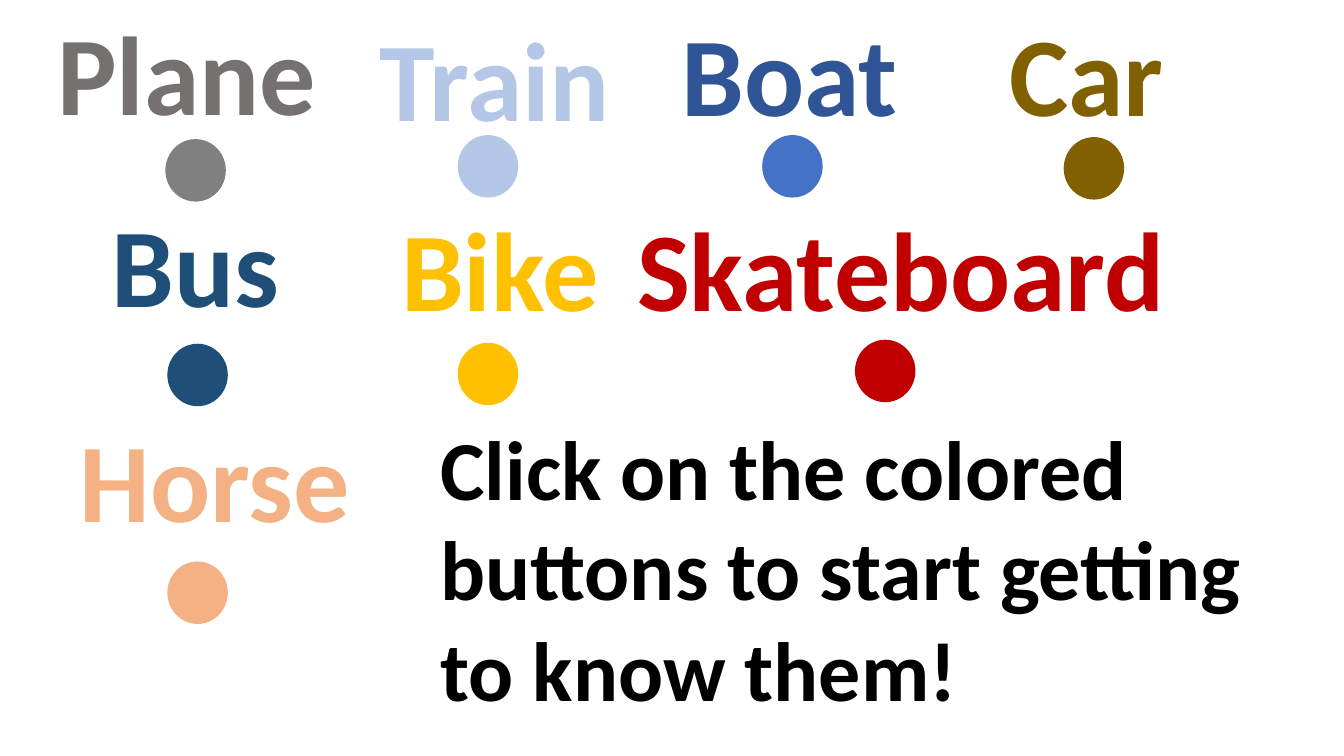
from pptx import Presentation
from pptx.dml.color import RGBColor
from pptx.enum.shapes import MSO_SHAPE
from pptx.enum.text import MSO_AUTO_SIZE
from pptx.util import Inches, Pt

COLORS = {
    "gray": "808080",
    "dark gray": "767171",
    "light blue": "B4C7E7",
    "blue": "4472C4",
    "royal blue": "2F5597",
    "brown": "806000",
    "navy": "1F4E79",
    "gold": "FFC000",
    "red": "C00000",
    "peach": "F4B183",
    "black": "000000",
}
BUTTON_WIDTH, BUTTON_HEIGHT = 0.6, 0.62
NAME_HEIGHT = 1.45

# name, name color, name (left, top, width), button color, button (left, top)
VEHICLES = [
    ("Plane", "dark gray", (0.47, -0.01, 2.99), "gray", (1.64, 1.38)),
    ("Train", "light blue", (3.67, 0.05, 2.55), "light blue", (4.54, 1.34)),
    ("Boat", "royal blue", (6.66, 0, 6.84), "blue", (7.56, 1.34)),
    ("Car", "brown", (9.91, 0, 6.84), "brown", (10.55, 1.36)),
    ("Bus", "navy", (1.01, 1.89, 6.84), "navy", (1.66, 3.41)),
    ("Bike", "gold", (3.88, 1.93, 6.84), "gold", (4.54, 3.4)),
    ("Skateboard", "red", (6.22, 1.93, 8), "red", (8.48, 3.37)),
    ("Horse", "peach", (0.69, 4.02, 8), "peach", (1.66, 5.57)),
]

prs = Presentation()
prs.slide_width = Inches(13.33)
prs.slide_height = Inches(7.5)
slide = prs.slides.add_slide(prs.slide_layouts[6])


def add_bold_text(text, left, top, width, height, size, color):
    box = slide.shapes.add_textbox(
        Inches(left), Inches(top), Inches(width), Inches(height))
    frame = box.text_frame
    frame.word_wrap = True
    frame.auto_size = MSO_AUTO_SIZE.SHAPE_TO_FIT_TEXT
    paragraph = frame.paragraphs[0]
    paragraph.text = text
    for run in paragraph.runs:
        run.font.name = "Calibri"
        run.font.size = Pt(size)
        run.font.bold = True
        run.font.color.rgb = RGBColor.from_string(COLORS[color])


for _, _, _, button_color, (left, top) in VEHICLES:
    button = slide.shapes.add_shape(
        MSO_SHAPE.OVAL, Inches(left), Inches(top),
        Inches(BUTTON_WIDTH), Inches(BUTTON_HEIGHT))
    button.shadow.inherit = False
    button.fill.solid()
    button.fill.fore_color.rgb = RGBColor.from_string(COLORS[button_color])
    button.line.fill.background()

for name, name_color, (left, top, width), _, _ in VEHICLES:
    add_bold_text(name, left, top, width, NAME_HEIGHT, 80, name_color)

add_bold_text("Click on the colored buttons to start getting\vto know them!",
              4.27, 4.08, 8.43, 3.13, 60, "black")

prs.save("out.pptx")
